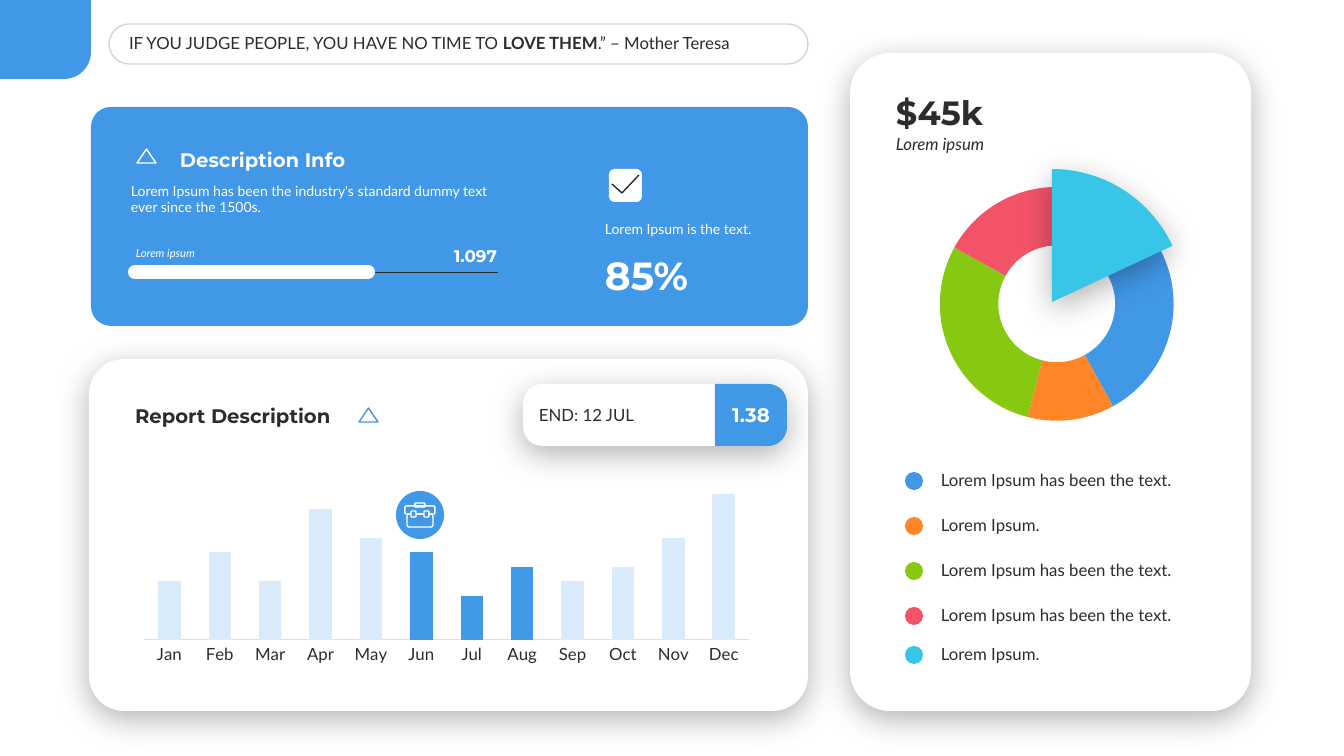
from dataclasses import dataclass
from math import cos, radians, sin

from lxml import etree
from pptx import Presentation
from pptx.chart.data import CategoryChartData
from pptx.dml.color import RGBColor
from pptx.enum.chart import XL_CHART_TYPE, XL_TICK_MARK
from pptx.enum.shapes import MSO_CONNECTOR, MSO_SHAPE
from pptx.enum.text import MSO_ANCHOR, MSO_AUTO_SIZE, PP_ALIGN
from pptx.oxml import parse_xml
from pptx.oxml.ns import nsdecls, qn
from pptx.util import Pt

ROUNDED, OVAL = MSO_SHAPE.ROUNDED_RECTANGLE, MSO_SHAPE.OVAL
TRIANGLE, ARC = MSO_SHAPE.ISOSCELES_TRIANGLE, MSO_SHAPE.ARC
STRAIGHT = MSO_CONNECTOR.STRAIGHT
COLUMNS, DOUGHNUT = XL_CHART_TYPE.COLUMN_CLUSTERED, XL_CHART_TYPE.DOUGHNUT
NO_TICK = XL_TICK_MARK.NONE
TOP, MIDDLE, BOTTOM = MSO_ANCHOR.TOP, MSO_ANCHOR.MIDDLE, MSO_ANCHOR.BOTTOM
LEFT, CENTER, RIGHT = PP_ALIGN.LEFT, PP_ALIGN.CENTER, PP_ALIGN.RIGHT


@dataclass(frozen=True)
class Theme:
    body: str = "Lato"
    heading: str = "Montserrat"
    ink: str = "2C2C2C"
    white: str = "FFFFFF"
    blue: str = "4198E7"
    pale: str = "D9EAFA"
    orange: str = "FF8529"
    green: str = "87C911"
    red: str = "F45269"
    cyan: str = "38C6E8"
    axis: str = "DFDFDF"
    tiny: int = 8
    small: int = 10
    normal: int = 12
    title: int = 14
    amount: int = 24
    percent: int = 28


THEME = Theme()
SCALE = 914400 / 100.8  # EMU in one px

# Content
QUOTE = [("IF YOU JUDGE PEOPLE, YOU HAVE NO TIME TO ", False),
         ("LOVE THEM", True), (".” – Mother Teresa", False)]
# text, box, size, heading font, colour, anchor, alignment, side insets, italic
PANEL_TEXTS = [
    ("Lorem Ipsum is the text.", (595, 215, 190, 27), THEME.small, False, THEME.white, BOTTOM, LEFT, (10, 10), False),
    ("85%", (595, 246, 190, 57), THEME.percent, True, THEME.white, TOP, LEFT, (10, 10), False),
    ("Lorem ipsum", (128, 241, 194, 24), THEME.tiny, False, THEME.white, BOTTOM, LEFT, (8, 10), True),
    ("1.097", (435, 241, 66, 30), THEME.normal, True, THEME.white, BOTTOM, RIGHT, (10, 4), False),
    ("Description Info", (170, 142, 352, 34), THEME.title, True, THEME.white, BOTTOM, LEFT, (10, 10), False),
    ("Lorem Ipsum has been the industry's standard dummy text ever since the 1500s.",
     (121, 177, 401, 44), THEME.small, False, THEME.white, TOP, LEFT, (10, 10), False),
    ("END: 12 JUL", (529, 400, 192, 30), THEME.normal, False, THEME.ink, MIDDLE, LEFT, (10, 10), False),
    ("1.38", (715, 398, 72, 34), THEME.title, True, THEME.white, MIDDLE, CENTER, (4, 4), False),
    ("Report Description", (125, 399, 355, 34), THEME.title, True, THEME.ink, MIDDLE, LEFT, (10, 10), False),
    ("Lorem ipsum", (886, 129, 335, 30), THEME.normal, False, THEME.ink, TOP, LEFT, (10, 8), True),
    ("$45k", (886, 87, 335, 50), THEME.amount, True, THEME.ink, BOTTOM, LEFT, (10, 8), False),
]
MONTHS = {"Jan": 40, "Feb": 60, "Mar": 40, "Apr": 90, "May": 70, "Jun": 60,
          "Jul": 30, "Aug": 50, "Sep": 40, "Oct": 50, "Nov": 70, "Dec": 100}
ACTIVE_MONTHS = ("Jun", "Jul", "Aug")
SHARES = {"1": 42, "2": 12, "3": 29, "4": 17}
LEGEND = [("Lorem Ipsum has been the text.", THEME.blue, 480), ("Lorem Ipsum.", THEME.orange, 525),
          ("Lorem Ipsum has been the text.", THEME.green, 570),
          ("Lorem Ipsum has been the text.", THEME.red, 615), ("Lorem Ipsum.", THEME.cyan, 654)]
# box, fill
BRIEFCASE = [((415, 503, 10, 4), None), ((407, 514, 26, 13), None), ((405, 506, 30, 8), None),
             ((411, 511, 5, 6), THEME.blue), ((424, 511, 5, 6), THEME.blue)]


def emu(*lengths):
    return [round(length * SCALE) for length in lengths]


def color(code):
    return RGBColor.from_string(code)


def paint(shape, fill=None, line=None, width=1):
    shape.shadow.inherit = False
    if fill:
        shape.fill.solid()
        shape.fill.fore_color.rgb = color(fill)
    else:
        shape.fill.background()
    if line:
        shape.line.color.rgb = color(line)
        shape.line.width = Pt(width)
    else:
        shape.line.fill.background()
    return shape


def add_shape(page, kind, box, fill=None, line=None, width=1, adjust=()):
    shape = page.shapes.add_shape(kind, *emu(*box))
    for index, value in enumerate(adjust):
        shape.adjustments[index] = value
    return paint(shape, fill, line, width)


def add_outline(page, points, closed=True):
    points = [emu(*point) for point in points]
    builder = page.shapes.build_freeform(*points[0], scale=1.0)
    builder.add_line_segments(points[1:], close=closed)
    return builder.convert_to_shape()


def add_tab(page, box, top_radius, bottom_radius):
    """A block rounded on its right side only."""
    left, top, width, height = box
    right, bottom = left + width, top + height
    points = [(left, top)]
    for radius, y, first in ((top_radius, top + top_radius, -90), (bottom_radius, bottom - bottom_radius, 0)):
        for angle in range(first, first + 91, 6):
            points.append((right - radius + radius * cos(radians(angle)), y + radius * sin(radians(angle))))
    return paint(add_outline(page, points + [(left, bottom)]), THEME.blue)


def cast_shadow(shape):
    effects = shape._element.spPr.find(qn("a:effectLst"))
    effects.append(parse_xml(
        f'<a:outerShdw {nsdecls("a")} blurRad="{Pt(23)}" dist="{Pt(6)}" dir="5400000" algn="t" rotWithShape="0">'
        '<a:srgbClr val="000000"><a:alpha val="30000"/></a:srgbClr></a:outerShdw>'))


def add_rule(page, start, end, line, width):
    rule = page.shapes.add_connector(STRAIGHT, *emu(*start, *end))
    rule.line.color.rgb = color(line)
    rule.line.width = Pt(width)
    etree.SubElement(rule._element.spPr, qn("a:effectLst"))
    return rule


def write(holder, spans, size, font, ink, anchor=MIDDLE, align=LEFT, insets=(10, 10), italic=False):
    frame = holder.text_frame
    frame.word_wrap = True
    frame.auto_size = MSO_AUTO_SIZE.SHAPE_TO_FIT_TEXT
    frame.vertical_anchor = anchor
    frame.margin_left, frame.margin_right = emu(*insets)
    frame.margin_top = frame.margin_bottom = emu(5)[0]
    para = frame.paragraphs[0]
    para.alignment = align
    for text, bold in spans:
        span = para.add_run()
        span.text = text
        span.font.name, span.font.size = font, Pt(size)
        span.font.bold, span.font.italic = bold, italic
        span.font.color.rgb = color(ink)


def add_text(page, box, text, size, heading, ink, *style):
    font = THEME.heading if heading else THEME.body
    write(page.shapes.add_textbox(*emu(*box)), [(text, heading)], size, font, ink, *style)


def add_chart(page, kind, box, values, colors, size, plot_box):
    data = CategoryChartData()
    data.categories = list(values)
    data.add_series("Series 1", list(values.values()))
    chart = page.shapes.add_chart(kind, *emu(*box), data).chart
    chart.has_legend = chart.has_title = False
    chart.font.name, chart.font.size = THEME.body, Pt(size)
    chart.font.color.rgb = color(THEME.ink)
    chart.plots[0].vary_by_categories = False
    for index, code in enumerate(colors):
        fill = chart.plots[0].series[0].points[index].format.fill
        fill.solid()
        fill.fore_color.rgb = color(code)
    # Place the plot inside the chart frame
    area = chart._chartSpace.chart.plotArea
    for old in area.findall(qn("c:layout")):
        area.remove(old)
    left, top, width, height = box
    fractions = zip("xywh", ((plot_box[0] - left) / width, (plot_box[1] - top) / height,
                             plot_box[2] / width, plot_box[3] / height))
    sizes = "".join(f'<c:{name} val="{value:.3f}"/>' for name, value in fractions)
    area.insert(0, parse_xml(
        f'<c:layout {nsdecls("c")}><c:manualLayout><c:layoutTarget val="inner"/>'
        f'<c:xMode val="edge"/><c:yMode val="edge"/>{sizes}</c:manualLayout></c:layout>'))
    return chart


def main():
    deck = Presentation()
    deck.slide_width, deck.slide_height = emu(1344, 756)
    page = deck.slides.add_slide(deck.slide_layouts[5])

    # Quote and corner block
    title = page.shapes.title
    title.left, title.top, title.width, title.height = emu(125, 28, 660, 30)
    write(title, QUOTE, THEME.normal, THEME.body, THEME.ink, insets=(4, 4))
    pill = add_shape(page, ROUNDED, (109, 24, 699, 40), line=THEME.ink, adjust=[0.5])
    ink = pill._element.spPr.find(qn("a:ln")).find(".//" + qn("a:srgbClr"))
    etree.SubElement(ink, qn("a:alpha"), val="20000")
    add_tab(page, (0, 0, 91, 79), 0, 27)

    # Description panel
    add_shape(page, ROUNDED, (91, 107, 717, 219), THEME.blue, adjust=[0.09])
    add_shape(page, ROUNDED, (609, 169, 33, 33), THEME.white)
    paint(add_outline(page, [(612, 184), (622, 193), (639, 175)], closed=False), line=THEME.ink)
    add_rule(page, (135, 272), (498, 272), THEME.ink, 0.5)
    progress = add_rule(page, (135, 272), (368, 272), THEME.white, 10)
    progress._element.spPr.find(qn("a:ln")).set("cap", "rnd")
    add_shape(page, TRIANGLE, (137, 149, 19, 14), line=THEME.white)

    # Report and side cards
    report = add_shape(page, ROUNDED, (89, 359, 719, 352), THEME.white, adjust=[0.1])
    badge = add_shape(page, ROUNDED, (523, 384, 263, 62), THEME.white, adjust=[0.31])
    side = add_shape(page, ROUNDED, (850, 53, 401, 658), THEME.white, adjust=[0.1])
    for card in (report, badge, side):
        cast_shadow(card)
    add_tab(page, (715, 384, 72, 62), 19, 19)
    add_shape(page, TRIANGLE, (359, 408, 19, 14), line=THEME.blue)
    for text, box, *style in PANEL_TEXTS:
        add_text(page, box, text, *style)

    # Monthly columns
    month_colors = [THEME.blue if month in ACTIVE_MONTHS else THEME.pale for month in MONTHS]
    columns = add_chart(page, COLUMNS, (131, 461, 630, 208), MONTHS, month_colors,
                        THEME.normal, (144, 465, 605, 175))
    columns.plots[0].gap_width, columns.plots[0].overlap = 125, -27
    value_axis, month_axis = columns.value_axis, columns.category_axis
    value_axis.minimum_scale, value_axis.maximum_scale = 0, 120
    value_axis.has_major_gridlines = value_axis.visible = False
    month_axis.major_tick_mark = NO_TICK
    month_axis.format.line.color.rgb = color(THEME.axis)
    month_axis.format.line.width = Pt(0.75)

    # Briefcase marker
    add_shape(page, OVAL, (396, 491, 48, 48), THEME.blue)
    for box, fill in BRIEFCASE:
        add_shape(page, ROUNDED, box, fill, THEME.white)

    # Doughnut with its raised wedge
    add_chart(page, DOUGHNUT, (893, 172, 328, 262), SHARES,
              [THEME.blue, THEME.orange, THEME.green, THEME.red], THEME.small, (940, 187, 234, 234))
    wedge = add_shape(page, ARC, (919, 169, 266, 266), THEME.cyan, adjust=[270 * 0.6, 335 * 0.6])
    cast_shadow(wedge)

    # Legend
    for text, code, middle in LEGEND:
        add_shape(page, OVAL, (905, middle - 8, 18, 18), code)
        add_text(page, (931, middle - 15, 275, 30), text, THEME.normal, False, THEME.ink)

    deck.save("out.pptx")


if __name__ == "__main__":
    main()
